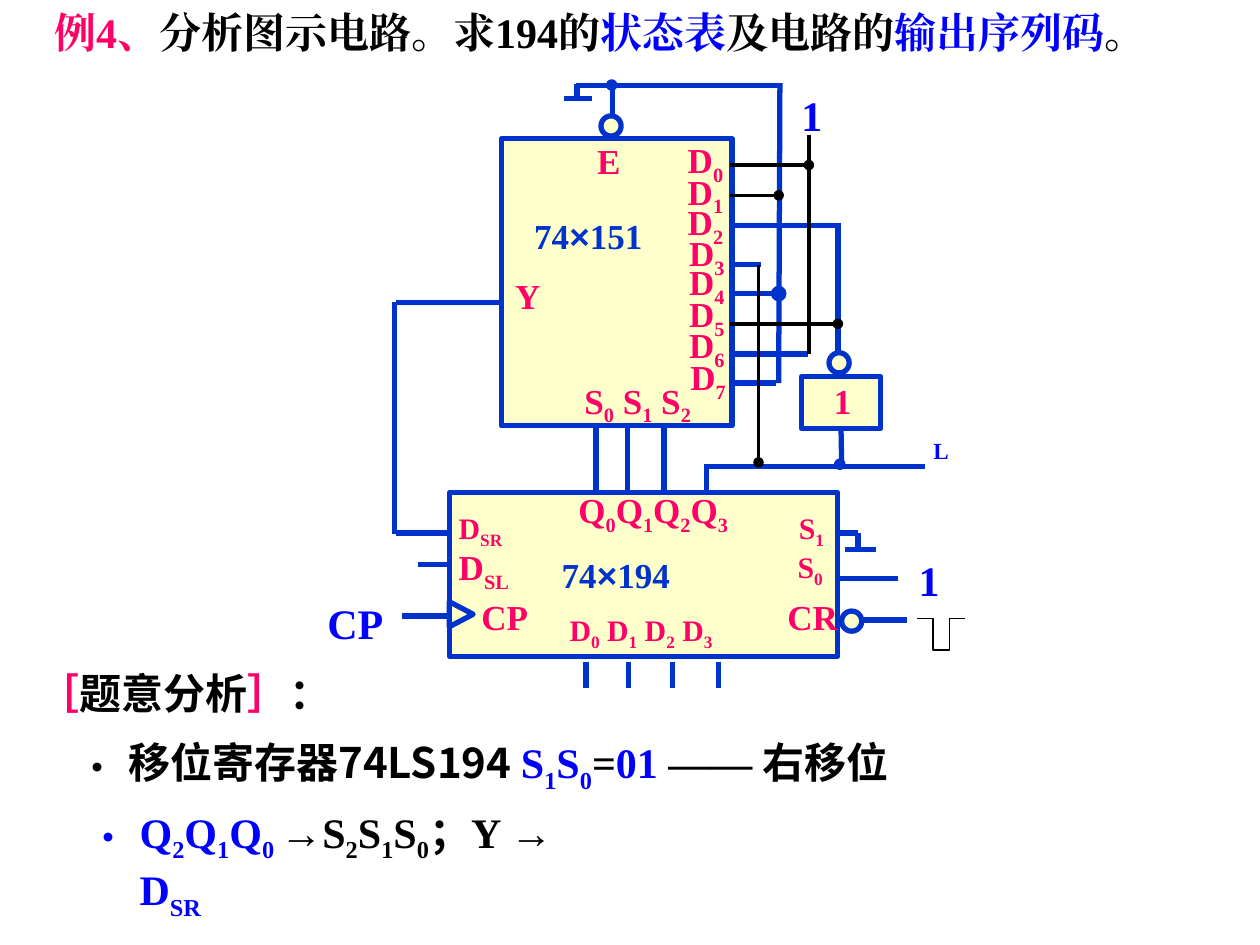
import dataclasses
import lxml.etree
import pptx
import pptx.dml.color
import pptx.enum.shapes
import pptx.enum.text
import pptx.oxml.ns
import pptx.util

Inches = pptx.util.Inches
Pt = pptx.util.Pt
qn = pptx.oxml.ns.qn
Shape = pptx.enum.shapes.MSO_SHAPE
Connector = pptx.enum.shapes.MSO_CONNECTOR


@dataclasses.dataclass(frozen=True)
class Theme:
    pink: str = "FF0066"
    blue: str = "0000FF"
    wire: str = "0033CC"
    black: str = "000000"
    cream: str = "FFFFCC"
    serif: str = "Times New Roman"
    sans: str = "Arial"
    chinese: str = "Noto Sans CJK SC"
    body: float = 24
    pin: float = 20
    small_pin: float = 17
    output: float = 13.2
    thick: float = 3
    medium: float = 2
    thin: float = 0.75


THEME = Theme()


def rgb(code):
    return pptx.dml.color.RGBColor.from_string(code)


class SlideBuilder:
    def __init__(self, slide, theme):
        self.slide = slide
        self.theme = theme

    def add_span(self, para, text, color, size, font):
        """Add text run by run; parts in [square brackets] become subscripts."""
        for index, part in enumerate(text.replace("]", "[").split("[")):
            if not part:
                continue
            span = para.add_run()
            span.text = part
            span.font.size = Pt(size)
            span.font.bold = True
            span.font.color.rgb = rgb(color)
            span.font.name = font
            properties = span.font._element
            lxml.etree.SubElement(properties, qn("a:ea")).set("typeface", font)
            if index % 2:
                properties.set("baseline", "-25000")

    def fill_frame(self, box, spans, size, margins=True, spacing=None):
        """Write (text, colour, font) spans into the single paragraph of a box."""
        frame = box.text_frame
        frame.word_wrap = True
        frame.auto_size = pptx.enum.text.MSO_AUTO_SIZE.NONE
        frame.vertical_anchor = pptx.enum.text.MSO_ANCHOR.TOP
        frame.margin_left = frame.margin_right = Inches(0.1 if margins else 0)
        frame.margin_top = frame.margin_bottom = Inches(0.05 if margins else 0)
        para = frame.paragraphs[0]
        para.alignment = pptx.enum.text.PP_ALIGN.LEFT
        if spacing:
            para.line_spacing = spacing
        for text, color, font in spans:
            self.add_span(para, text, color, size, font)
        return para

    def title(self, left, top, width, height, spans):
        box = self.slide.shapes.title
        box.left, box.top = Inches(left), Inches(top)
        box.width, box.height = Inches(width), Inches(height)
        self.fill_frame(box, spans, self.theme.body)

    def text(self, left, top, width, height, spans, size, **options):
        box = self.slide.shapes.add_textbox(
            Inches(left), Inches(top), Inches(width), Inches(height))
        return self.fill_frame(box, spans, size, **options)

    def label(self, left, top, width, height, text, color, size, **options):
        self.text(left, top, width, height, [(text, color, self.theme.serif)], size, **options)

    def bullet(self, left, top, width, height, spans):
        para = self.text(left, top, width, height, spans, self.theme.body)
        properties = para._p.get_or_add_pPr()
        properties.set("marL", str(Inches(0.41)))
        properties.set("indent", str(-Inches(0.41)))
        lxml.etree.SubElement(properties, qn("a:buFont")).set("typeface", self.theme.chinese)
        lxml.etree.SubElement(properties, qn("a:buChar")).set("char", "•")

    def shape(self, kind, left, top, width, height, fill):
        shape = self.slide.shapes.add_shape(
            kind, Inches(left), Inches(top), Inches(width), Inches(height))
        shape.shadow.inherit = False
        shape.fill.solid()
        shape.fill.fore_color.rgb = rgb(fill)
        shape.line.color.rgb = rgb(self.theme.wire)
        shape.line.width = Pt(self.theme.thick)
        return shape

    def wire(self, x1, y1, x2, y2, color, width, dot=False, kind=Connector.STRAIGHT):
        wire = self.slide.shapes.add_connector(
            kind, Inches(x1), Inches(y1), Inches(x2), Inches(y2))
        wire.line.color.rgb = rgb(color)
        wire.line.width = Pt(width)
        if dot:
            lxml.etree.SubElement(wire.line._get_or_add_ln(), qn("a:tailEnd")).set("type", "oval")
        lxml.etree.SubElement(wire._element.spPr, qn("a:effectLst"))
        return wire


def draw_circuit(builder):
    theme = builder.theme
    builder.shape(Shape.RECTANGLE, 3.98, 1.1, 1.83, 2.28, theme.cream)
    builder.shape(Shape.RECTANGLE, 3.57, 3.91, 3.08, 1.3, theme.cream)
    inverter = builder.shape(Shape.RECTANGLE, 6.36, 2.99, 0.63, 0.41, theme.cream)

    select_wires = [(x, 3.38, x, 3.91) for x in (4.73, 4.98, 5.27)]
    data_stubs = [(x, 5.25, x, 5.46) for x in (4.65, 4.99, 5.34, 5.7)]
    feedback_wires = [(3.59, 4.23, 3.14, 4.23), (3.13, 4.24, 3.13, 2.4), (3.14, 2.4, 3.98, 2.4)]
    mode_wires = [(6.65, 4.23, 6.81, 4.23), (6.81, 4.23, 6.81, 4.34), (6.71, 4.36, 6.95, 4.36),
                  (6.65, 4.59, 7.13, 4.59), (6.82, 4.92, 7.2, 4.92)]
    output_wires = [(5.61, 3.7, 5.61, 3.91), (5.59, 3.7, 7.34, 3.7)]
    data_wires = [(5.79, 2.1, 6.04, 2.1), (5.82, 1.79, 6.65, 1.79), (6.65, 1.77, 6.65, 2.8),
                  (5.79, 3.04, 6.16, 3.04), (6.18, 3.04, 6.19, 0.66), (5.79, 2.81, 6.41, 2.81)]
    ground_wires = [(6.19, 0.68, 4.57, 0.68), (4.58, 0.67, 4.58, 0.78),
                    (4.48, 0.78, 4.7, 0.78), (4.86, 0.92, 4.86, 0.67)]
    input_wires = [(3.32, 4.48, 3.57, 4.48), (3.57, 4.89, 3.19, 4.89)]
    for ends in (select_wires + data_stubs + feedback_wires + mode_wires + output_wires
                 + data_wires + ground_wires + input_wires):
        builder.wire(*ends, theme.wire, theme.thick)
    builder.wire(5.79, 2.33, 6.18, 2.33, theme.wire, theme.thick, dot=True)
    inverter_input = builder.wire(6.68, 3.7, 6.68, 3.4, theme.wire, theme.thick)
    inverter_input.end_connect(inverter, 2)

    for left, top in ((6.68, 4.85), (6.58, 2.8), (4.77, 0.92)):
        builder.shape(Shape.OVAL, left, top, 0.16, 0.16, theme.cream)
    for left, top in ((6.64, 3.66), (4.83, 0.65)):
        builder.shape(Shape.OVAL, left, top, 0.05, 0.05, theme.black)
    clock = builder.shape(Shape.FLOWCHART_EXTRACT, 3.56, 4.78, 0.2, 0.19, theme.cream)
    clock.rotation = 90

    builder.wire(6.42, 1.07, 6.42, 2.81, theme.black, theme.medium)
    for ends in ((5.79, 1.55, 6.18, 1.55), (5.79, 1.31, 6.42, 1.31),
                 (5.79, 2.57, 6.65, 2.57), (6.02, 2.1, 6.02, 3.67)):
        builder.wire(*ends, theme.black, theme.medium, dot=True)
    for ends in ((7.41, 5.16, 7.66, 4.91), (7.53, 5.16, 7.28, 4.91)):
        builder.wire(*ends, theme.black, theme.thin, kind=Connector.ELBOW)


def label_circuit(builder):
    theme = builder.theme
    for left, top, number, margins in ((4.24, 1.7, "151", False), (4.36, 4.34, "194", True)):
        spans = [("74", theme.wire, theme.serif), ("×", theme.wire, theme.sans),
                 (number, theme.wire, theme.serif)]
        builder.text(left, top, 1.3, 0.45, spans, theme.pin, margins=margins)

    for left, top, width, text in ((4.54, 2.96, 1.17, "S[0] S[1] S[2]"), (3.99, 2.13, 0.5, "Y"),
                                   (4.64, 1.06, 0.45, "E"), (6.52, 2.96, 0.42, "1")):
        builder.label(left, top, width, 0.45, text, theme.pink, theme.pin)
    data_pins = ((5.36, 1.05), (5.36, 1.3), (5.36, 1.54), (5.37, 1.79),
                 (5.37, 2.02), (5.37, 2.27), (5.37, 2.52), (5.38, 2.77))
    for index, (left, top) in enumerate(data_pins):
        builder.label(left, top, 0.52, 0.48, f"D[{index}]", theme.pink, theme.pin)

    for left, top, width, text in ((3.64, 4.33, 0.58, "D[SL]"), (3.82, 4.73, 0.53, "CP"),
                                   (6.25, 4.73, 0.44, "CR"), (4.59, 3.88, 1.3, "Q[0]Q[1]Q[2]Q[3]")):
        builder.label(left, top, width, 0.4, text, theme.pink, theme.pin, margins=False)
    for left, top, width, text in ((3.64, 4.05, 0.58, "D[SR]"), (6.33, 4.36, 0.27, "S[0]"),
                                   (6.34, 4.05, 0.27, "S[1]"),
                                   (4.52, 4.86, 1.51, "D[0] D[1] D[2] D[3]")):
        builder.label(left, top, width, 0.33, text, theme.pink, theme.small_pin,
                      margins=False, spacing=0.9)

    for left, top in ((7.29, 4.4), (6.36, 0.71)):
        builder.label(left, top, 0.18, 0.43, "1", theme.blue, theme.body, margins=False)
    builder.label(7.31, 3.46, 0.5, 0.43, "L", theme.blue, theme.output, spacing=0.8)
    builder.label(2.5, 4.69, 0.83, 0.5, "CP", theme.blue, theme.body)


def write_text(builder):
    theme = builder.theme
    builder.title(0.33, 0, 9.25, 0.5, [
        (text, color, theme.serif) for text, color in (
            ("例4、", theme.pink), ("分析图示电路。求194的", theme.black), ("状态表", theme.blue),
            ("及电路的", theme.black), ("输出序列码", theme.blue), ("。", theme.black))])
    builder.text(0.2, 5.25, 2.98, 0.5, [
        (text, color, theme.chinese) for text, color in (
            ("［", theme.pink), ("题意分析", theme.black), ("］", theme.pink),
            ("：", theme.black))], theme.body)
    builder.bullet(0.51, 5.8, 9.25, 0.57, [
        ("移位寄存器74LS194 ", theme.black, theme.chinese), ("S[1]S[0]", theme.blue, theme.serif),
        ("=", theme.black, theme.serif), ("01 ", theme.blue, theme.serif),
        ("—— ", theme.black, theme.serif), ("右移位", theme.black, theme.chinese)])
    builder.bullet(0.6, 6.35, 4.3, 0.57, [
        ("Q[2]Q[1]Q[0 ]", theme.blue, theme.serif), ("→S[2]S[1]S[0]", theme.black, theme.serif),
        ("；", theme.black, theme.chinese), ("Y → ", theme.black, theme.serif),
        ("D[SR]", theme.blue, theme.serif)])


def main():
    deck = pptx.Presentation()
    deck.slide_width, deck.slide_height = Inches(10), Inches(7.5)
    builder = SlideBuilder(deck.slides.add_slide(deck.slide_layouts[5]), THEME)
    write_text(builder)
    draw_circuit(builder)
    label_circuit(builder)
    deck.save("out.pptx")


if __name__ == "__main__":
    main()
